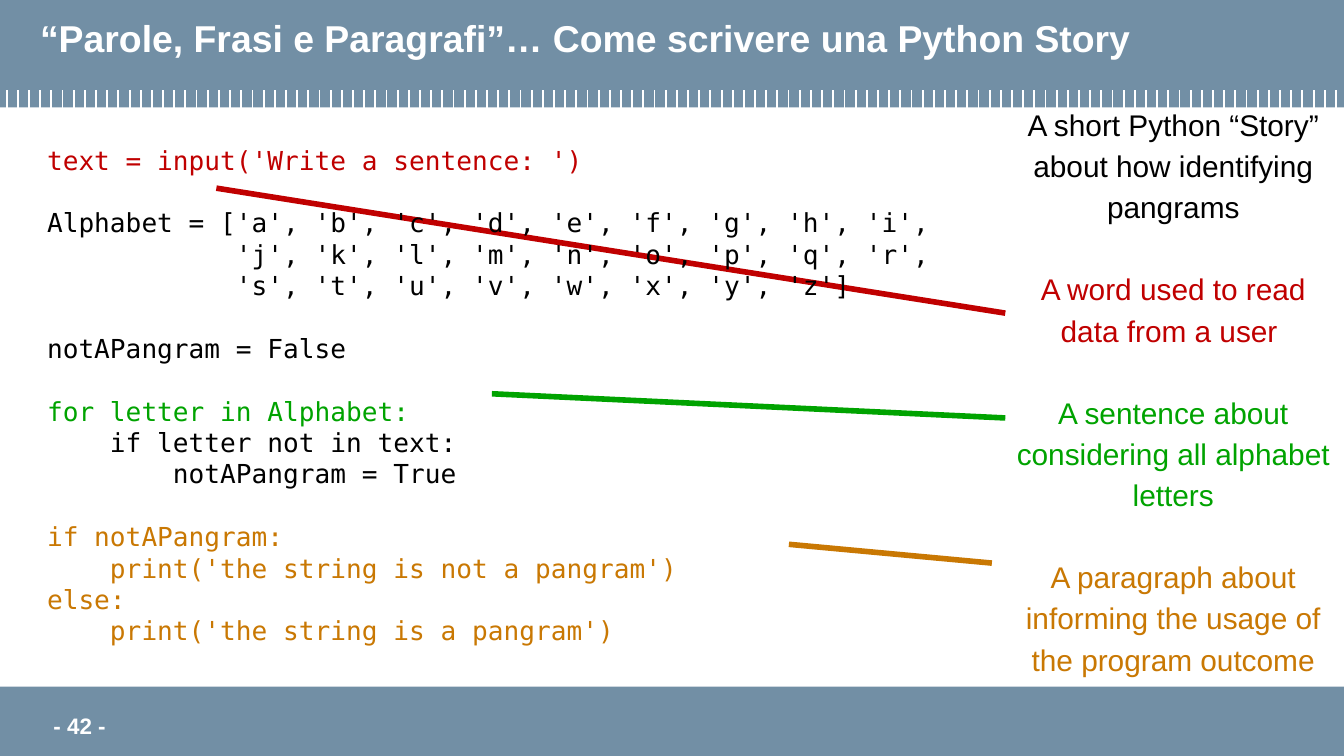
from lxml import etree
from pptx import Presentation
from pptx.dml.color import RGBColor
from pptx.enum.shapes import MSO_CONNECTOR as CONNECTOR, MSO_SHAPE as SHAPE
from pptx.enum.text import MSO_ANCHOR as ANCHOR, PP_ALIGN as ALIGN
from pptx.oxml.ns import qn
from pptx.util import Inches, Pt

COLORS = {
    "band": "728FA5",
    "white": "FFFFFF",
    "black": "000000",
    "word": "C00000",
    "sentence": "00A300",
    "paragraph": "C97803",
}


def add_text(shapes, blocks, box, font="Arial", size=16, bold=False, align=ALIGN.LEFT,
             anchor=ANCHOR.TOP, insets=(0, 0, 0, 0), spacing=None, gap=0):
    """Each block is a list of (line, color); gap points separate the blocks."""
    frame = shapes.add_textbox(*map(Inches, box)).text_frame
    frame.word_wrap = True
    frame.vertical_anchor = anchor
    (frame.margin_left, frame.margin_top,
     frame.margin_right, frame.margin_bottom) = map(Inches, insets)
    paragraph = None
    for block in blocks:
        for index, (line, color) in enumerate(block):
            starts_block = paragraph is not None and index == 0
            paragraph = frame.add_paragraph() if paragraph is not None else frame.paragraphs[0]
            paragraph.alignment = align
            if spacing:
                paragraph.line_spacing = spacing
            if starts_block:
                paragraph.space_before = Pt(gap)
            run = paragraph.add_run()
            run.text = line
            run.font.name = font
            run.font.size = Pt(size)
            run.font.bold = bold
            run.font.color.rgb = RGBColor.from_string(COLORS[color])


def add_line(shapes, start, end, color, width):
    line = shapes.add_connector(CONNECTOR.STRAIGHT, *map(Inches, start + end))
    line.line.color.rgb = RGBColor.from_string(COLORS[color])
    line.line.width = Pt(width)
    etree.SubElement(line._element.spPr, qn("a:effectLst"))


# Widescreen slide, 16:9
presentation = Presentation()
presentation.slide_width = Inches(10)
presentation.slide_height = Inches(10 * 9 / 16)
slide = presentation.slides.add_slide(presentation.slide_layouts[6])
shapes = slide.shapes

# Footer and header bands
for top, height in ((5.11, 0.52), (0, 0.8)):
    band = shapes.add_shape(SHAPE.RECTANGLE, 0, Inches(top), Inches(10), Inches(height))
    band.shadow.inherit = False
    band.fill.solid()
    band.fill.fore_color.rgb = RGBColor.from_string(COLORS["band"])
    band.line.fill.background()

# Row of ticks along the header
TICKS = 120
FIRST_TICK, LAST_TICK = 0.05, 9.94
tick_gap = (LAST_TICK - FIRST_TICK) / (TICKS - 1)
ticks = shapes.add_group_shape()
for index in range(TICKS):
    x = FIRST_TICK + index * tick_gap
    add_line(ticks.shapes, (x, 0.67), (x, 0.81), "white", 1)

# Explanations on the right
explanations = [
    [("A short Python “Story” about how identifying pangrams", "black")],
    [("A word used to read data from a user ", "word")],
    [("A sentence about considering all alphabet letters", "sentence")],
    [("A paragraph about informing the usage of the program outcome", "paragraph")],
]
add_text(shapes, explanations, (7.5, 1, 2.46, 3.79), align=ALIGN.CENTER,
         anchor=ANCHOR.MIDDLE, spacing=1.15, gap=22)

# Lines from the code to its explanations
add_line(shapes, (3.66, 2.93), (7.48, 3.11), "sentence", 3)
add_line(shapes, (5.87, 4.05), (7.38, 4.19), "paragraph", 3)
add_line(shapes, (1.61, 1.4), (7.48, 2.33), "word", 3)

# Code listing
code = [
    [("text = input('Write a sentence: ')", "word")],
    [("Alphabet = ['a', 'b', 'c', 'd', 'e', 'f', 'g', 'h', 'i',", "black"),
     ("            'j', 'k', 'l', 'm', 'n', 'o', 'p', 'q', 'r',", "black"),
     ("            's', 't', 'u', 'v', 'w', 'x', 'y', 'z']", "black")],
    [("notAPangram = False", "black")],
    [("for letter in Alphabet:", "sentence"),
     ("    if letter not in text:", "black"),
     ("        notAPangram = True", "black")],
    [("if notAPangram:", "paragraph"),
     ("    print('the string is not a pangram')", "paragraph"),
     ("else:", "paragraph"),
     ("    print('the string is a pangram')", "paragraph")],
]
add_text(shapes, code, (0.35, 1.32, 8.58, 3.47), font="DejaVu Sans Mono", size=14,
         anchor=ANCHOR.MIDDLE, insets=(0, 0, 0, 0.23), gap=16.8)

# Title and page number
padding = (0.1, 0.05, 0.1, 0.05)
title = "“Parole, Frasi e Paragrafi”… Come scrivere una Python Story"
add_text(shapes, [[(title, "white")]], (0.2, 0.06, 9.4, 0.48), size=20, bold=True, insets=padding)
add_text(shapes, [[("- 42 -", "white")]], (0.3, 5.25, 0.83, 0.25), size=12, bold=True,
         insets=padding)

presentation.save("out.pptx")
